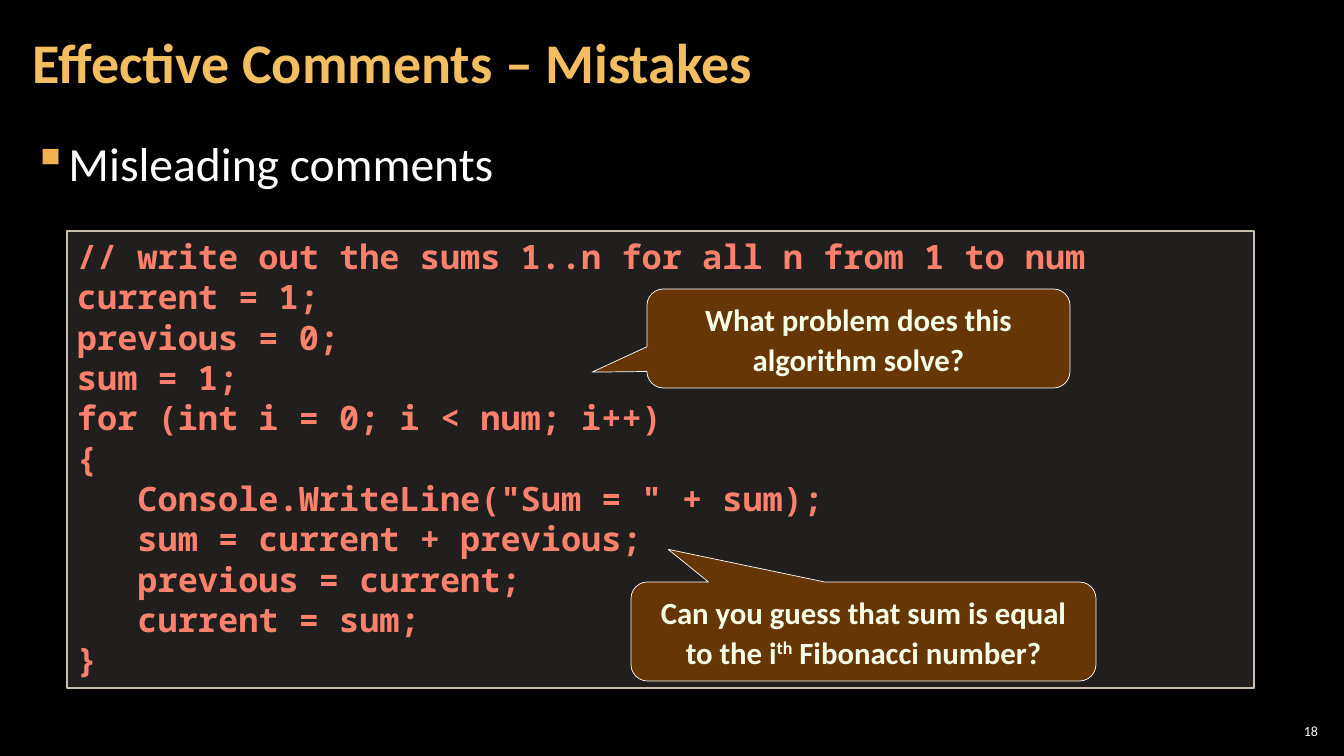
from dataclasses import dataclass
from lxml import etree
from pptx import Presentation
from pptx import util as u
from pptx.dml.color import RGBColor
from pptx.enum import shapes, text
from pptx.oxml import ns

PX = 914400 / 100.8
MID, TOP = text.MSO_ANCHOR.MIDDLE, text.MSO_ANCHOR.TOP
LEFT, MID_X, RIGHT = text.PP_ALIGN.LEFT, text.PP_ALIGN.CENTER, text.PP_ALIGN.RIGHT


@dataclass(frozen=True)
class Theme:
    """Colours, fonts and type sizes of the slide."""
    back: str = "000000"
    head: str = "F3BE60"
    mark: str = "F2B254"
    body: str = "FFFFFF"
    code: str = "FB816D"
    pane: str = "D9D5C7"
    edge: str = "C7BFAC"
    note: str = "663606"
    cream: str = "F7FFE7"
    sans: str = "Calibri"
    mono: str = "Noto Sans Mono"
    head_pt: int = 40
    body_pt: int = 34
    code_pt: int = 24
    note_pt: int = 22
    page_pt: int = 10


T = Theme()

CODE = """// write out the sums 1..n for all n from 1 to num
current = 1;
previous = 0;
sum = 1;
for (int i = 0; i < num; i++)
{
   Console.WriteLine("Sum = " + sum);
   sum = current + previous;
   previous = current;
   current = sum;
}"""


def px(n):
    """Turn px into EMU."""
    return u.Emu(round(n * PX))


def rgb(tone):
    """Turn a hex string into a colour."""
    return RGBColor.from_string(tone)


def sub(node, tag, **attrs):
    """Add a drawing element under a node."""
    return etree.SubElement(node, ns.qn(tag), attrs)


def style(frame, size, tone, font=T.sans, bold=False, align=LEFT, gap=None):
    """Format every paragraph and run of a text frame."""
    for para in frame.paragraphs:
        para.alignment = align
        if gap:
            para.line_spacing = gap
        for run in para.runs:
            run.font.size = u.Pt(size)
            run.font.name = font
            run.font.bold = bold
            run.font.color.rgb = rgb(tone)


def inset(frame, side, edge, anchor):
    """Set wrapping, margins and anchor of a text frame."""
    frame.word_wrap = True
    frame.margin_left = frame.margin_right = px(side)
    frame.margin_top = frame.margin_bottom = px(edge)
    frame.vertical_anchor = anchor


def label(slide, box, words, side, anchor):
    """Add a text box and return its frame."""
    frame = slide.shapes.add_textbox(*map(px, box)).text_frame
    inset(frame, side, 4, anchor)
    frame.text = words
    return frame


def panel(slide, kind, box, fill, line, width):
    """Add a filled and outlined shape."""
    shape = slide.shapes.add_shape(kind, *map(px, box))
    shape.shadow.inherit = False
    shape.fill.solid()
    shape.fill.fore_color.rgb = rgb(fill)
    shape.line.color.rgb = rgb(line)
    shape.line.width = u.Pt(width)
    return shape


def title(slide, box, words):
    """Place the slide title."""
    frame = label(slide, box, words, 12, MID)
    style(frame, T.head_pt, T.head, bold=True, gap=0.9)


def bullet(slide, box, words):
    """Place the bulleted line."""
    frame = label(slide, box, words, 12, TOP)
    para = frame.paragraphs[0]
    props = para._p.get_or_add_pPr()
    props.set("marL", str(px(33)))
    props.set("indent", str(px(-33)))
    sub(sub(props, "a:buClr"), "a:srgbClr", val=T.mark)
    sub(props, "a:buChar", char="▪")
    para.space_after = u.Pt(6)
    style(frame, T.body_pt, T.body, gap=1.05)


def listing(slide, box, words):
    """Place the code on its translucent pane."""
    pane = panel(slide, shapes.MSO_SHAPE.RECTANGLE, box, T.pane, T.edge, 1)
    tone = pane.fill._xPr.find(".//" + ns.qn("a:srgbClr"))
    sub(tone, "a:alpha", val="15000")
    frame = pane.text_frame
    inset(frame, 10, 5, TOP)
    frame.text = words
    style(frame, T.code_pt, T.code, T.mono, True)


def callout(slide, box, tip, parts):
    """Place a callout whose odd parts are superscript."""
    kind = shapes.MSO_SHAPE.ROUNDED_RECTANGULAR_CALLOUT
    note = panel(slide, kind, box, T.note, T.body, 0.5)
    for i, part in enumerate(tip):
        note.adjustments[i] = part
    frame = note.text_frame
    inset(frame, 10, 5, TOP)
    for i, part in enumerate(parts):
        run = frame.paragraphs[0].add_run()
        run.text = part
        if i % 2:
            run._r.get_or_add_rPr().set("baseline", "30000")
    style(frame, T.note_pt, T.cream, bold=True, align=MID_X, gap=u.Pt(28))


def number(slide, box, words):
    """Place the page number."""
    frame = label(slide, box, words, 4, MID)
    style(frame, T.page_pt, T.body, align=RIGHT)


def main():
    """Build and save the slide."""
    deck = Presentation()
    deck.slide_width, deck.slide_height = px(1344), px(756)
    slide = deck.slides.add_slide(deck.slide_layouts[6])
    slide.background.fill.solid()
    slide.background.fill.fore_color.rgb = rgb(T.back)
    number(slide, (1275, 720, 47, 21), "18")
    bullet(slide, (21, 127, 1301, 613), "Misleading comments")
    title(slide, (21, 4, 1055, 122), "Effective Comments – Mistakes")
    listing(slide, (67, 231, 1187, 457), CODE)
    callout(slide, (647, 289, 423, 99), (-0.63, 0.34),
            ["What problem does this algorithm solve?"])
    callout(slide, (631, 582, 465, 99), (-0.42, -0.83),
            ["Can you guess that sum is equal to the i", "th",
             " Fibonacci number?"])
    deck.save("out.pptx")


if __name__ == "__main__":
    main()
